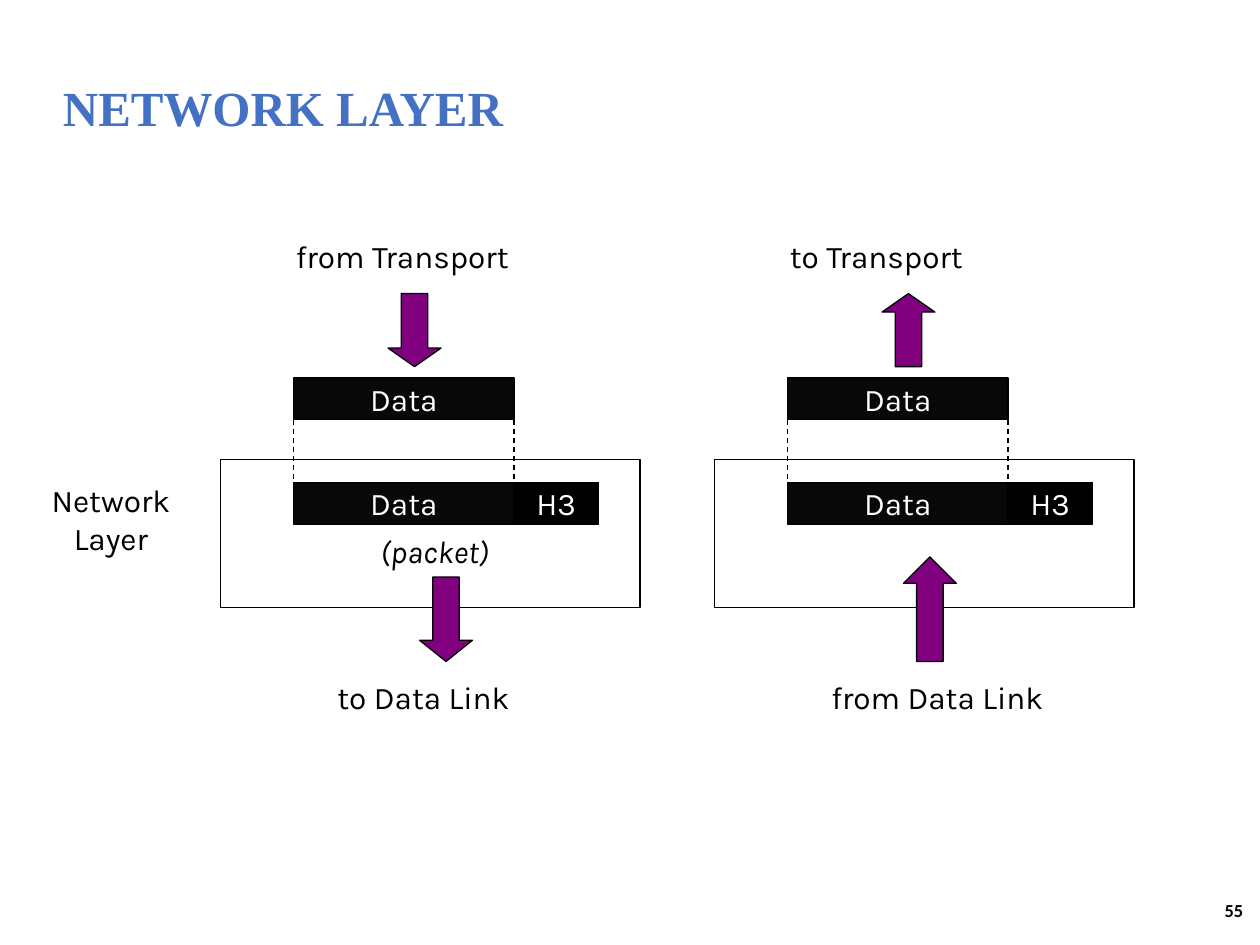
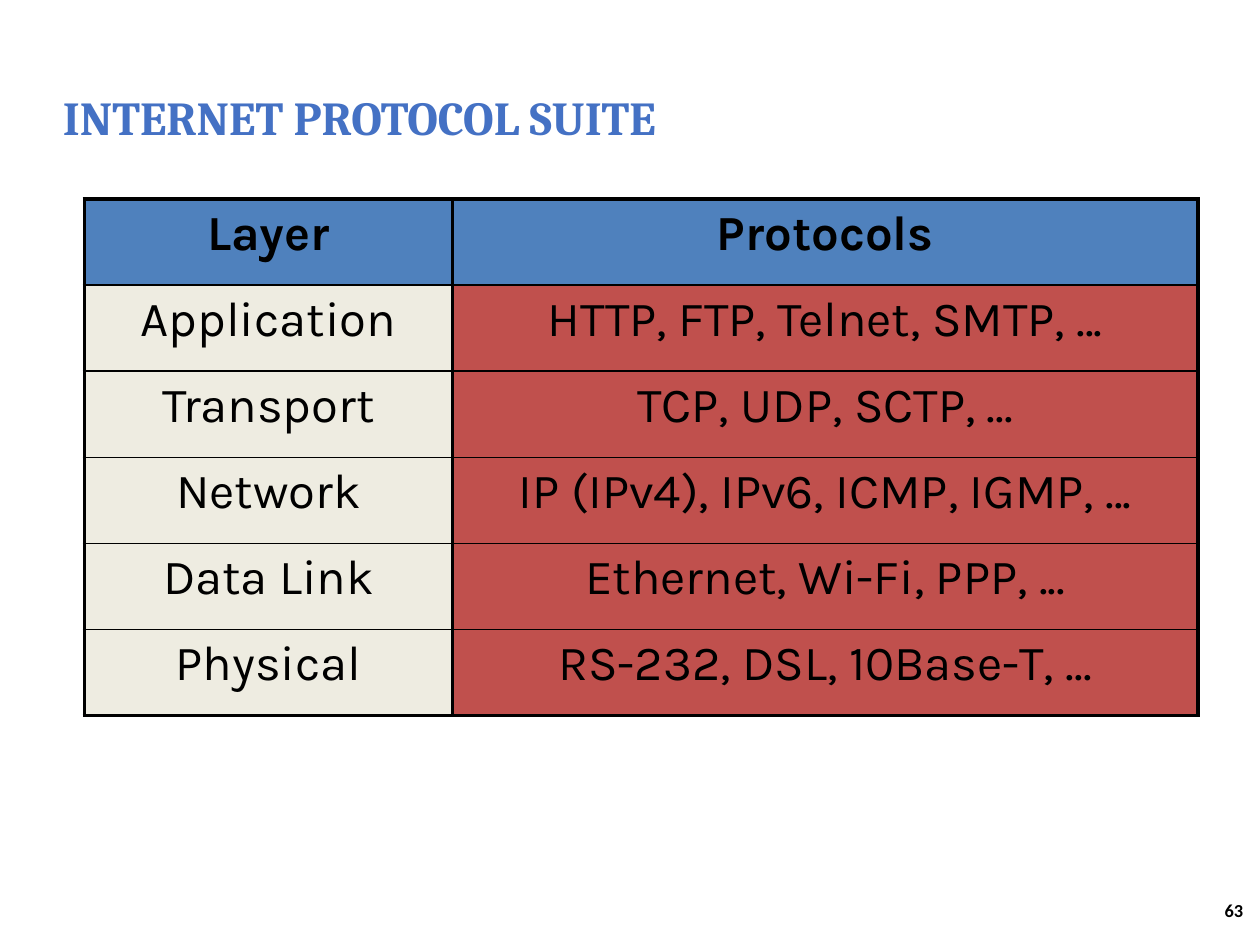
from lxml.etree import SubElement
from pptx import Presentation
from pptx.dml.color import RGBColor
from pptx.enum.dml import MSO_LINE
from pptx.enum.shapes import MSO_CONNECTOR, MSO_SHAPE
from pptx.enum.text import MSO_ANCHOR, PP_ALIGN
from pptx.oxml.ns import qn
from pptx.util import Inches, Pt

COLORS = {
    "title": "4471C4",
    "black": "000000",
    "white": "FFFFFF",
    "data": "080808",
    "arrow": "800080",
    "header": "4F81BD",
    "layer": "EEECE1",
    "protocols": "C0504D",
}
BODY_FONT = "Karla"
DATA_WIDTH, HEADER_WIDTH, FIELD_HEIGHT = 1.75, 0.67, 0.33
SEGMENT_TOP, PACKET_TOP = 3, 3.83
PROTOCOLS = [
    ("Layer", "Protocols"),
    ("Application", "HTTP, FTP, Telnet, SMTP, ..."),
    ("Transport", "TCP, UDP, SCTP, ..."),
    ("Network", "IP (IPv4), IPv6, ICMP, IGMP, ..."),
    ("Data Link", "Ethernet, Wi-Fi, PPP, ..."),
    ("Physical", "RS-232, DSL, 10Base-T, ..."),
]


def color(name):
    """Return the palette colour with this name."""
    return RGBColor.from_string(COLORS[name])


def write(frame, text, size=18, font=BODY_FONT, ink="black", bold=False,
          italic=False, align=PP_ALIGN.LEFT):
    """Write text into a frame, with a line break at each newline."""
    para = frame.paragraphs[0]
    para.alignment = align
    for index, line in enumerate(text.split("\n")):
        if index:
            para.add_line_break()
        span = para.add_run()
        span.text = line
        span.font.size = Pt(size)
        span.font.name = font
        span.font.bold = bold
        span.font.italic = italic
        span.font.color.rgb = color(ink)


def add_text(page, left, top, width, height, text, inset=True, **style):
    """Add a text box on one line, with or without inner margins."""
    box = page.shapes.add_textbox(Inches(left), Inches(top), Inches(width), Inches(height))
    frame = box.text_frame
    frame.word_wrap = False
    if not inset:
        frame.margin_left = frame.margin_right = frame.margin_top = frame.margin_bottom = 0
        frame.vertical_anchor = MSO_ANCHOR.MIDDLE
    write(frame, text, **style)


def add_page(deck, title, number, top, height, font, size):
    """Add a blank page with its title and page number."""
    page = deck.slides.add_slide(deck.slide_layouts[6])
    add_text(page, 0.5, top, 9, height, title, inset=False,
             size=size, font=font, ink="title", bold=True)
    add_text(page, 9.72, 7.14, 0.21, 0.17, number, inset=False,
             size=10.5, font="Calibri", bold=True)
    return page


def add_block(page, kind, left, top, width, height, fill):
    """Add a filled preset shape with a thin black outline."""
    block = page.shapes.add_shape(kind, Inches(left), Inches(top), Inches(width), Inches(height))
    block.shadow.inherit = False
    block.fill.solid()
    block.fill.fore_color.rgb = color(fill)
    block.line.color.rgb = color("black")
    block.line.width = Pt(0.75)
    return block


def add_field(page, left, top, width, text, fill):
    """Add a dark packet field with a white label."""
    field = add_block(page, MSO_SHAPE.RECTANGLE, left, top, width, FIELD_HEIGHT, fill)
    field.text_frame.word_wrap = False
    field.text_frame.vertical_anchor = MSO_ANCHOR.MIDDLE
    write(field.text_frame, text, ink="white", align=PP_ALIGN.CENTER)


def add_arrow(page, kind, left, top, height, head):
    """Add a purple block arrow whose head length is relative to its width."""
    arrow = add_block(page, kind, left, top, 0.42, height, "arrow")
    arrow.adjustments[0] = 0.5
    arrow.adjustments[1] = head


def add_guide(page, x):
    """Add a dashed guide from the segment down to the packet."""
    guide = page.shapes.add_connector(
        MSO_CONNECTOR.STRAIGHT, Inches(x), Inches(SEGMENT_TOP + FIELD_HEIGHT),
        Inches(x), Inches(PACKET_TOP))
    guide.line.color.rgb = color("black")
    guide.line.width = Pt(0.75)
    guide.line.dash_style = MSO_LINE.DASH
    SubElement(guide._element.spPr, qn("a:effectLst"))


def add_stack(page, left, arrow_kind, upper_label, lower_label, lower_arrow):
    """Add one side of the network layer: panel, fields, arrows and labels."""
    data_left = left + 0.58
    data_right = data_left + DATA_WIDTH
    add_block(page, MSO_SHAPE.RECTANGLE, left, 3.65, 3.33, 1.17, "white")
    add_text(page, left + 0.5, 1.83, 1.94, 0.43, upper_label)
    add_text(page, left + 0.83, 5.33, 1.9, 0.43, lower_label)
    add_arrow(page, arrow_kind, left + 1.33, 2.33, 0.58, 0.35)
    for top in (SEGMENT_TOP, PACKET_TOP):
        add_field(page, data_left, top, DATA_WIDTH, "Data", "data")
    add_field(page, data_right, PACKET_TOP, HEADER_WIDTH, "H3", "black")
    for x in (data_left, data_right):
        add_guide(page, x)
    add_arrow(page, arrow_kind, *lower_arrow)


def set_borders(cell, **widths):
    """Give a cell black borders, with widths in points by side."""
    properties = cell._tc.get_or_add_tcPr()
    for index, side in enumerate(("L", "R", "T", "B")):
        border = properties.makeelement(qn(f"a:ln{side}"), {"w": str(Pt(widths[side]))})
        fill = SubElement(border, qn("a:solidFill"))
        SubElement(fill, qn("a:srgbClr"), val=COLORS["black"])
        properties.insert(index, border)


def add_protocol_table(page):
    """Add the table of layers and their protocols."""
    count = len(PROTOCOLS)
    table = page.shapes.add_table(
        count, 2, Inches(0.67), Inches(1.58), Inches(8.84), Inches(4.1)).table
    for column, width in zip(table.columns, (2.92, 5.92)):
        column.width = Inches(width)
    for row, texts in enumerate(PROTOCOLS):
        for column, text in enumerate(texts):
            cell = table.cell(row, column)
            cell.fill.solid()
            fill = "header" if row == 0 else ("layer", "protocols")[column]
            cell.fill.fore_color.rgb = color(fill)
            write(cell.text_frame, text, size=28, bold=row == 0, align=PP_ALIGN.CENTER)
            set_borders(cell, L=2.25, R=2.25, T=2.25 if row == 0 else 1,
                        B=2.25 if row == count - 1 else 1)


def main():
    """Build the deck and save it."""
    deck = Presentation()
    deck.slide_width, deck.slide_height = Inches(10), Inches(7.5)

    page = add_page(deck, "NETWORK LAYER", "55", 0.58, 0.53, "Times New Roman", 28)
    add_stack(page, 1.75, MSO_SHAPE.DOWN_ARROW, "from Transport", "to Data Link",
              (3.33, 4.58, 0.67, 0.4))
    add_stack(page, 5.67, MSO_SHAPE.UP_ARROW, "to Transport", "from Data Link",
              (7.17, 4.42, 0.83, 0.5))
    add_text(page, 0.29, 3.77, 1.18, 0.77, "Network\nLayer", align=PP_ALIGN.CENTER)
    add_text(page, 2.92, 4.17, 1.16, 0.43, "(packet)", italic=True)

    page = add_page(deck, "INTERNET PROTOCOL SUITE", "63", 0.67, 0.51, "Cambria", 27)
    add_protocol_table(page)

    deck.save("out.pptx")


if __name__ == "__main__":
    main()
